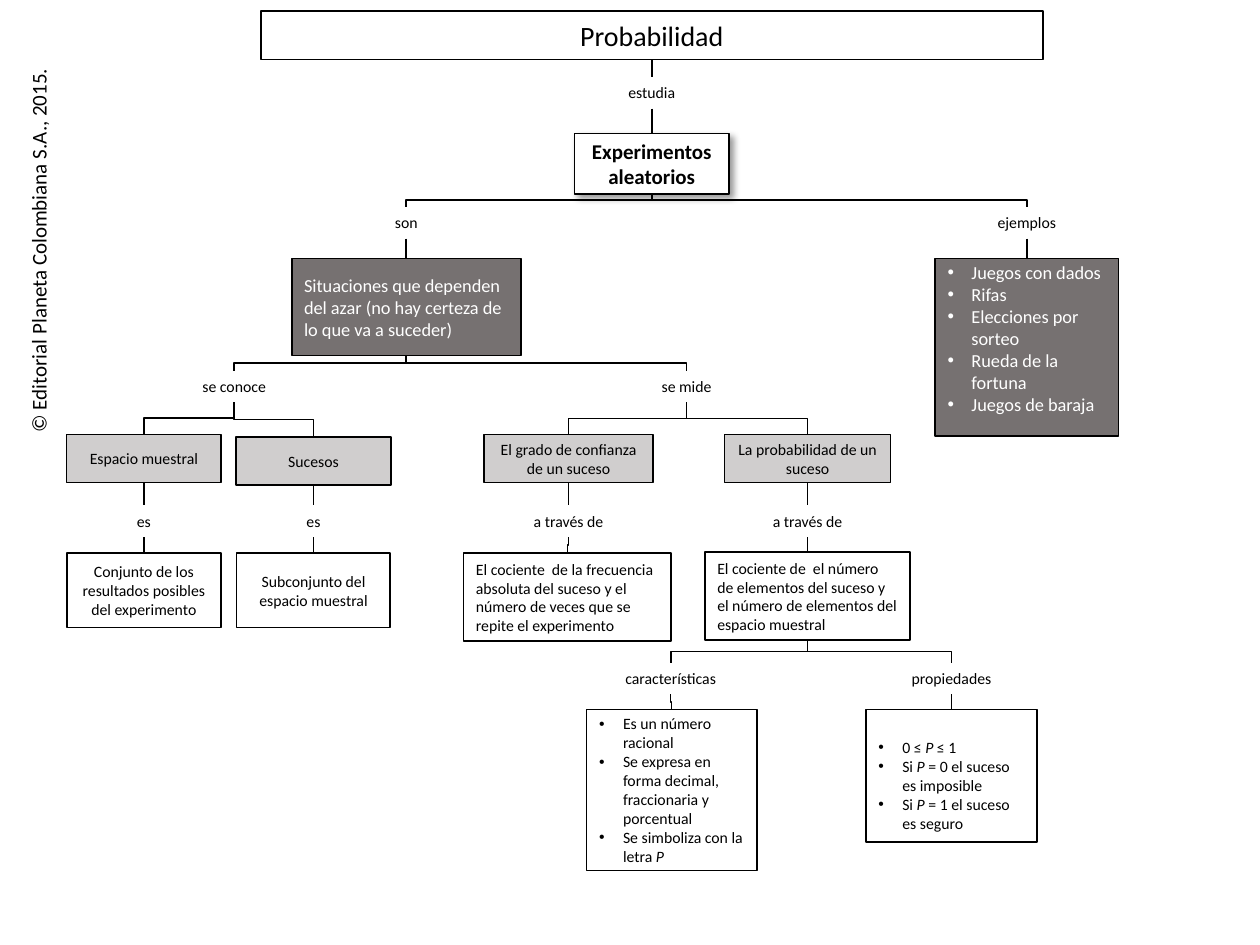
"""Build a one-slide concept map about probability."""
from lxml.etree import SubElement
from pptx import Presentation
from pptx.dml.color import RGBColor
from pptx.enum.shapes import MSO_CONNECTOR, MSO_SHAPE
from pptx.enum.text import MSO_ANCHOR, MSO_AUTO_SIZE, PP_ALIGN
from pptx.oxml.ns import qn
from pptx.util import Cm, Pt

COPYRIGHT = "© Editorial Planeta Colombiana S.A., 2015."
GAMES = ["Juegos con dados", "Rifas", "Elecciones por sorteo", "Rueda de la fortuna", "Juegos de baraja"]
FEATURES = ["Es un número racional", "Se expresa en forma decimal, fraccionaria y porcentual",
            "Se simboliza con la letra *P*"]
PROPERTIES = ["0 ≤ *P* ≤ 1", "Si *P* = 0 el suceso es imposible", "Si *P* = 1 el suceso es seguro"]
FREQUENCY = ("El cociente  de la frecuencia  absoluta del suceso y el número de veces "
             "que se repite el experimento")
QUOTIENT = ("El cociente de  el número de elementos del suceso y el número de elementos "
            "del espacio muestral")

# key, parent, style, centre, top, width, height, content
NODES = [
    ("probabilidad", None, "title", 13.14, 0.22, 15.77, 0.98, "Probabilidad"),
    ("estudia", "probabilidad", "label", 13.14, 1.55, 3.1, 0.64, "estudia"),
    ("experimentos", "estudia", "main", 13.14, 2.69, 3.12, 1.22, "Experimentos aleatorios"),
    ("son", "experimentos", "label", 8.19, 4.17, 3.1, 0.64, "son"),
    ("situaciones", "son", "dark", 8.19, 5.21, 4.62, 1.96,
     "Situaciones que dependen del azar (no hay certeza de lo que va a suceder)"),
    ("ejemplos", "experimentos", "label", 20.7, 4.17, 3.1, 0.64, "ejemplos"),
    ("juegos", "ejemplos", "dark", 20.7, 5.21, 3.7, 3.58, GAMES),
    ("conoce", "situaciones", "label", 4.72, 7.47, 3.1, 0.64, "se conoce"),
    ("mide", "situaciones", "label", 13.84, 7.47, 3.1, 0.64, "se mide"),
    ("espacio", "conoce", "grey", 2.9, 8.76, 3.12, 0.97, "Espacio muestral"),
    ("sucesos", "conoce", "grey", 6.32, 8.81, 3.12, 0.97, "Sucesos"),
    ("confianza", "mide", "grey", 11.46, 8.76, 3.4, 0.97, "El grado de confianza de un suceso"),
    ("suceso", "mide", "grey", 16.28, 8.76, 3.35, 0.97, "La probabilidad de un suceso"),
    ("es espacio", "espacio", "label", 2.9, 10.19, 3.1, 0.64, "es"),
    ("es sucesos", "sucesos", "label", 6.32, 10.19, 3.1, 0.64, "es"),
    ("través confianza", "confianza", "label", 11.46, 10.19, 3.1, 0.64, "a través de"),
    ("través suceso", "suceso", "label", 16.28, 10.19, 3.1, 0.64, "a través de"),
    ("conjunto", "es espacio", "white", 2.9, 11.15, 3.1, 1.5,
     "Conjunto de los resultados posibles del experimento"),
    ("subconjunto", "es sucesos", "white", 6.32, 11.15, 3.1, 1.5, "Subconjunto del espacio muestral"),
    ("frecuencia", "través confianza", "left", 11.44, 11.15, 4.19, 1.78, FREQUENCY),
    ("cociente", "través suceso", "left", 16.28, 11.13, 4.14, 1.78, QUOTIENT),
    ("características", "cociente", "label", 13.52, 13.36, 3.1, 0.64, "características"),
    ("propiedades", "cociente", "label", 19.18, 13.36, 3.1, 0.64, "propiedades"),
    ("lista características", "características", "left", 13.54, 14.3, 3.43, 3.25, FEATURES),
    ("lista propiedades", "propiedades", "left", 19.18, 14.3, 3.45, 2.67, PROPERTIES),
]
# fill, text colour, size, bold, alignment
STYLES = {
    "title": ("FFFFFF", "000000", 16, False, PP_ALIGN.CENTER),
    "main": ("FFFFFF", "000000", 12, True, PP_ALIGN.CENTER),
    "dark": ("767171", "FFFFFF", 10.5, False, PP_ALIGN.LEFT),
    "grey": ("D0CECE", "000000", 9, False, PP_ALIGN.CENTER),
    "white": ("FFFFFF", "000000", 9, False, PP_ALIGN.CENTER),
    "left": ("FFFFFF", "000000", 9, False, PP_ALIGN.LEFT),
    "label": (None, "000000", 9, False, PP_ALIGN.CENTER),
}
LIST_PLACEHOLDERS = {"juegos": 1, "lista características": 2, "lista propiedades": 4}
LIST_INSETS = {"juegos": (0, 0.38), "lista características": (0, 0), "lista propiedades": (0.38, 0)}


def color(value):
    return RGBColor.from_string(value)


def write(frame, content, text_color, size, bold, alignment):
    """Fill a frame with one text or a bulleted list; asterisks enclose italics."""
    bulleted = isinstance(content, list)
    for index, line in enumerate(content if bulleted else [content]):
        paragraph = frame.add_paragraph() if index else frame.paragraphs[0]
        for part, piece in enumerate(line.split("*")):
            if piece:
                run = paragraph.add_run()
                run.text = piece
                if part % 2:
                    run.font.italic = True
        paragraph.alignment = alignment
        paragraph.space_before = Pt(0)
        if bulleted:
            properties = paragraph._p.get_or_add_pPr()
            properties.set("marL", str(Cm(0.48)))
            properties.set("indent", str(-Cm(0.48)))
            SubElement(properties, qn("a:buFont"), typeface="Arial")
            SubElement(properties, qn("a:buChar"), char="•")
        font = paragraph.font
        font.name, font.size, font.bold = "Calibri", Pt(size), bold
        font.color.rgb = color(text_color)


def add_glow_shadow(shape):
    """Give a shape a soft shadow at the lower right."""
    shadow = SubElement(shape._element.spPr.find(qn("a:effectLst")), qn("a:outerShdw"),
                        blurRad=str(Pt(4)), dist=str(Pt(3)), dir="2700000", algn="tl", rotWithShape="0")
    black = SubElement(shadow, qn("a:srgbClr"), val="000000")
    SubElement(black, qn("a:alpha"), val="40000")


def add_node(slide, key, style, centre, top, width, height, content):
    fill, *text_format = STYLES[style]
    place = [Cm(length) for length in (centre - width / 2, top, width, height)]
    if style == "label":
        shape = slide.shapes.add_textbox(*place)
    elif style == "title" or key in LIST_PLACEHOLDERS:
        shape = slide.placeholders[LIST_PLACEHOLDERS.get(key, 0)]
        shape.left, shape.top, shape.width, shape.height = place
    else:
        shape = slide.shapes.add_shape(MSO_SHAPE.RECTANGLE, *place)
        shape.shadow.inherit = False
    frame = shape.text_frame
    frame.word_wrap = True
    frame.auto_size = MSO_AUTO_SIZE.NONE
    if fill:
        shape.fill.solid()
        shape.fill.fore_color.rgb = color(fill)
        shape.line.color.rgb = color("000000")
        shape.line.width = Pt(1)
        frame.vertical_anchor = MSO_ANCHOR.MIDDLE
    if key in LIST_INSETS:
        frame.margin_top, frame.margin_bottom = map(Cm, LIST_INSETS[key])
    if style == "main":
        add_glow_shadow(shape)
    write(frame, content, *text_format)


def add_link(slide, start_x, start_y, end_x, end_y):
    """Draw an elbow that leaves downwards, by turning a sideways one."""
    middle_x, middle_y = (start_x + end_x) / 2, (start_y + end_y) / 2
    half_drop, half_span = (end_y - start_y) / 2, abs(end_x - start_x) / 2
    rightward = end_x > start_x
    side = -half_drop if rightward else half_drop
    link = slide.shapes.add_connector(
        MSO_CONNECTOR.ELBOW, Cm(middle_x - side), Cm(middle_y - half_span),
        Cm(middle_x + side), Cm(middle_y + half_span))
    link.line.color.rgb = color("000000")
    link.line.width = Pt(1)
    properties = link._element.spPr
    properties.find(qn("a:xfrm")).set("rot", "16200000" if rightward else "5400000")
    SubElement(properties, qn("a:effectLst"))


def main():
    presentation = Presentation()
    presentation.slide_width, presentation.slide_height = Cm(25.4), Cm(19.05)
    slide = presentation.slides.add_slide(presentation.slide_layouts[4])

    notice = slide.shapes.add_textbox(Cm(-3.18), Cm(4.62), Cm(7.92), Cm(0.77))
    notice.rotation = 270
    notice.text_frame.word_wrap = False
    write(notice.text_frame, COPYRIGHT, "000000", 12, False, PP_ALIGN.LEFT)

    ends = {}
    for key, parent, style, centre, top, width, height, content in NODES:
        add_node(slide, key, style, centre, top, width, height, content)
        if parent:
            add_link(slide, *ends[parent], centre, top)
        ends[key] = (centre, top + height)

    unused = slide.placeholders[3]._element
    unused.getparent().remove(unused)
    presentation.save("out.pptx")


if __name__ == "__main__":
    main()
